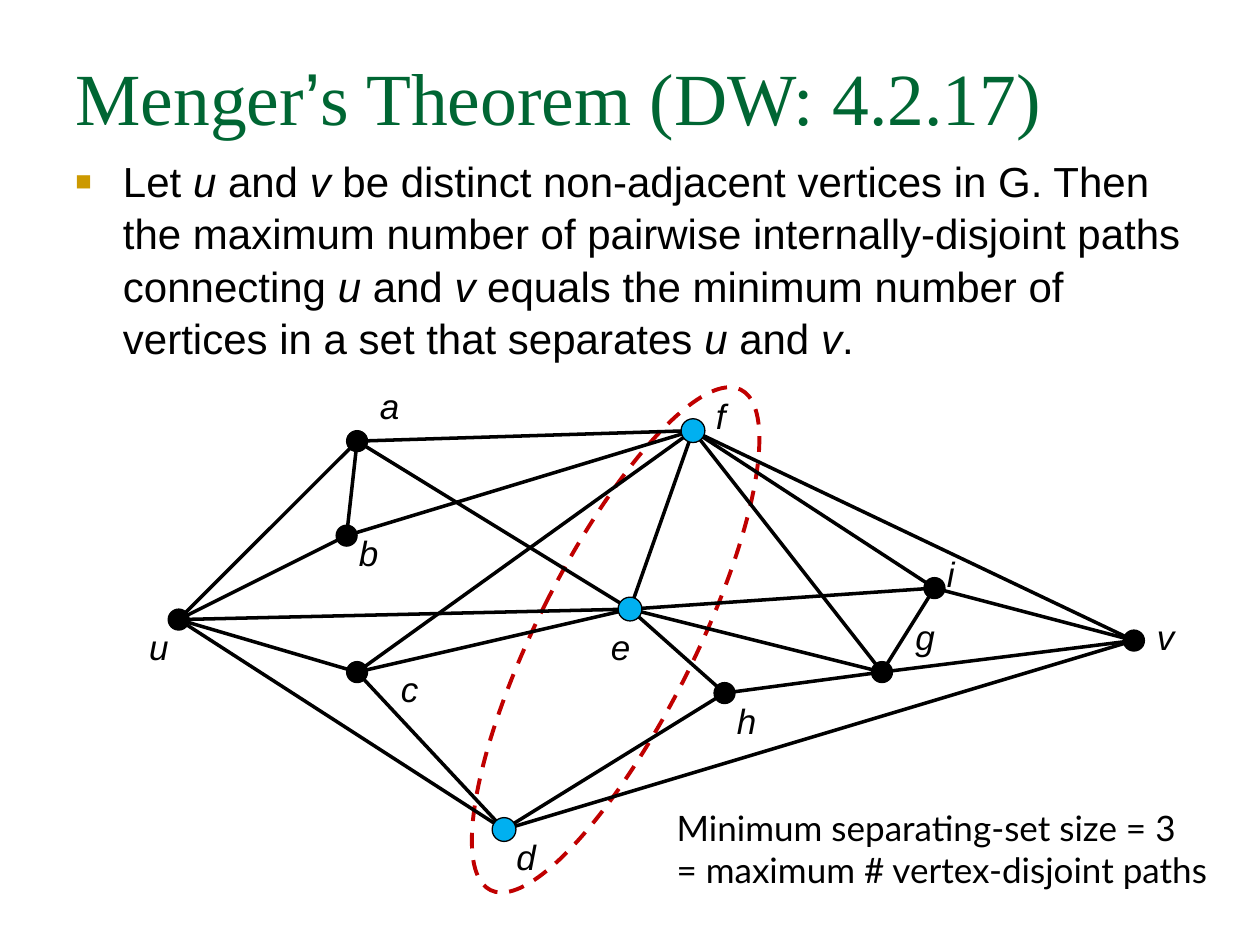
from collections import namedtuple

from lxml import etree
from pptx import Presentation
from pptx import util as u
from pptx.dml.color import RGBColor
from pptx.enum import dml, shapes, text
from pptx.oxml.ns import qn

Box = namedtuple("Box", "left top width height")

VERTICES = {
    "a": (18, 2), "b": (17, 11), "c": (18, 24), "d": (32, 39),
    "e": (44, 18), "f": (50, 1), "g": (68, 24), "h": (53, 26),
    "i": (73, 16), "u": (1, 19), "v": (92, 21),
}
LABEL_OFFSETS = {
    "a": (1, -6), "b": (0, -1), "c": (3, -1), "d": (0, 0),
    "e": (-3, 1), "f": (1, -4), "g": (2, -6), "h": (0, 0),
    "i": (0, -4), "u": (-4, 0), "v": (1, -3),
}
EDGES = "ec eu dc cu du bu vg gh hd vd if vf ig vi ie he ge fa gf ea fb ab au fc fe"
SEPARATORS = "def"
GRID_COLUMNS = 93


def color(value):
    """Turn a hex string into a colour."""
    return RGBColor.from_string(value)


def apply(target, values):
    """Set attributes from a dict."""
    for name, value in values.items():
        setattr(target, name, value)


def place(shape, box):
    """Move and size a shape to a box in centimetres."""
    apply(shape, {name: u.Cm(value) for name, value in box._asdict().items()})


def add_span(para, wording, size, font, fill="000000", italic=False):
    """Append a formatted run to a paragraph."""
    span = para.add_run()
    span.text = wording
    apply(span.font, {"size": u.Pt(size), "name": font, "italic": italic})
    span.font.color.rgb = color(fill)


def add_text_box(page, box):
    """Add a wrapping text box and return its frame."""
    frame = page.shapes.add_textbox(*map(u.Cm, box)).text_frame
    frame.word_wrap = True
    return frame


def add_title(page, box):
    """Place the title and its text."""
    title = page.shapes.title
    place(title, box)
    apply(title.text_frame, {
        "vertical_anchor": text.MSO_ANCHOR.TOP,
        "auto_size": text.MSO_AUTO_SIZE.NONE,
        "margin_top": u.Cm(0.28),
    })
    para = title.text_frame.paragraphs[0]
    para.alignment = text.PP_ALIGN.LEFT
    for wording, font in (("Menger", "Times New Roman"), ("’", "Arial"),
                          ("s Theorem (DW: 4.2.17)", "Times New Roman")):
        add_span(para, wording, 42, font, "006633")


def add_bullet(para, indent):
    """Give a paragraph a hanging square bullet."""
    properties = para._p.get_or_add_pPr()
    properties.set("marL", str(u.Cm(indent)))
    properties.set("indent", str(-u.Cm(indent)))
    tint = etree.SubElement(properties, qn("a:buClr"))
    etree.SubElement(tint, qn("a:srgbClr"), val="CC9900")
    etree.SubElement(properties, qn("a:buSzPct"), val="65000")
    etree.SubElement(properties, qn("a:buFont"), typeface="Arial")
    etree.SubElement(properties, qn("a:buChar"), char="■")


def add_theorem(page, box):
    """Write the theorem with its vertex names in italics."""
    para = add_text_box(page, box).paragraphs[0]
    add_bullet(para, 0.96)
    para.line_spacing = 1.04
    parts = (
        "Let ", "u", " and ", "v",
        " be distinct non-adjacent vertices in G. Then the maximum number of "
        "pairwise internally-disjoint paths connecting ",
        "u", " and ", "v",
        " equals the minimum number of vertices in a set that separates ",
        "u", " and ", "v", ".",
    )
    for part in parts:
        add_span(para, part, 24, "Arial", italic=part in VERTICES)


def add_ellipse(page, box, fill=None, line="000000", width=0.75):
    """Add an outlined ellipse, filled if a colour is given."""
    ellipse = page.shapes.add_shape(shapes.MSO_SHAPE.OVAL, *map(u.Cm, box))
    ellipse.shadow.inherit = False
    if fill:
        ellipse.fill.solid()
        ellipse.fill.fore_color.rgb = color(fill)
    else:
        ellipse.fill.background()
    ellipse.line.color.rgb = color(line)
    ellipse.line.width = u.Pt(width)
    return ellipse


def add_separating_set(page, box):
    """Ring the separating vertices with a tilted dashed ellipse."""
    ring = add_ellipse(page, box, line="C00000", width=2.25)
    ring.line.dash_style = dml.MSO_LINE.DASH
    ring.rotation = 26.6


def add_edge(page, start, end):
    """Join two points with a straight black line."""
    edge = page.shapes.add_connector(
        shapes.MSO_CONNECTOR.STRAIGHT, *map(u.Cm, start + end))
    edge.line.color.rgb = color("000000")
    edge.line.width = u.Pt(2)
    etree.SubElement(edge._element.spPr, qn("a:effectLst"))


def add_graph(page, box):
    """Draw the vertices, edges and labels on a square grid."""
    step = box.width / GRID_COLUMNS
    centers = {name: (box.left + column * step, box.top + row * step)
               for name, (column, row) in VERTICES.items()}

    def add_vertex(name, radius, fill):
        """Draw one vertex around its centre."""
        x, y = centers[name]
        add_ellipse(page, Box(x - radius, y - radius, 2 * radius, 2 * radius), fill)

    for name in VERTICES:
        if name not in SEPARATORS:
            add_vertex(name, step, "000000")
    for start, end in EDGES.split():
        add_edge(page, centers[start], centers[end])
    for name, (across, down) in LABEL_OFFSETS.items():
        x, y = centers[name]
        label = Box(x + across * step, y + down * step, 0.89, 1.11)
        add_span(add_text_box(page, label).paragraphs[0], name, 20, "Arial", italic=True)
    for name in SEPARATORS:
        add_vertex(name, 0.24, "00B0F0")


def add_conclusion(page, box):
    """Write the two-line conclusion."""
    frame = add_text_box(page, box)
    add_span(frame.paragraphs[0], "Minimum separating-set size = 3", 20, "Lato")
    add_span(frame.add_paragraph(), "= maximum # vertex-disjoint paths", 20, "Lato")


def main():
    """Build and save the slide."""
    deck = Presentation()
    apply(deck, {"slide_width": u.Cm(25.4), "slide_height": u.Cm(19.05)})
    page = deck.slides.add_slide(deck.slide_layouts[5])
    add_title(page, Box(1.27, 0.76, 22.86, 3.18))
    add_theorem(page, Box(1.27, 2.97, 22.86, 4.65))
    add_separating_set(page, Box(10.82, 7.26, 3.18, 11.28))
    add_graph(page, Box(3.39, 8.47, 19.68, 8.47))
    add_conclusion(page, Box(13.39, 16.13, 11.79, 2.79))
    deck.save("out.pptx")


if __name__ == "__main__":
    main()
